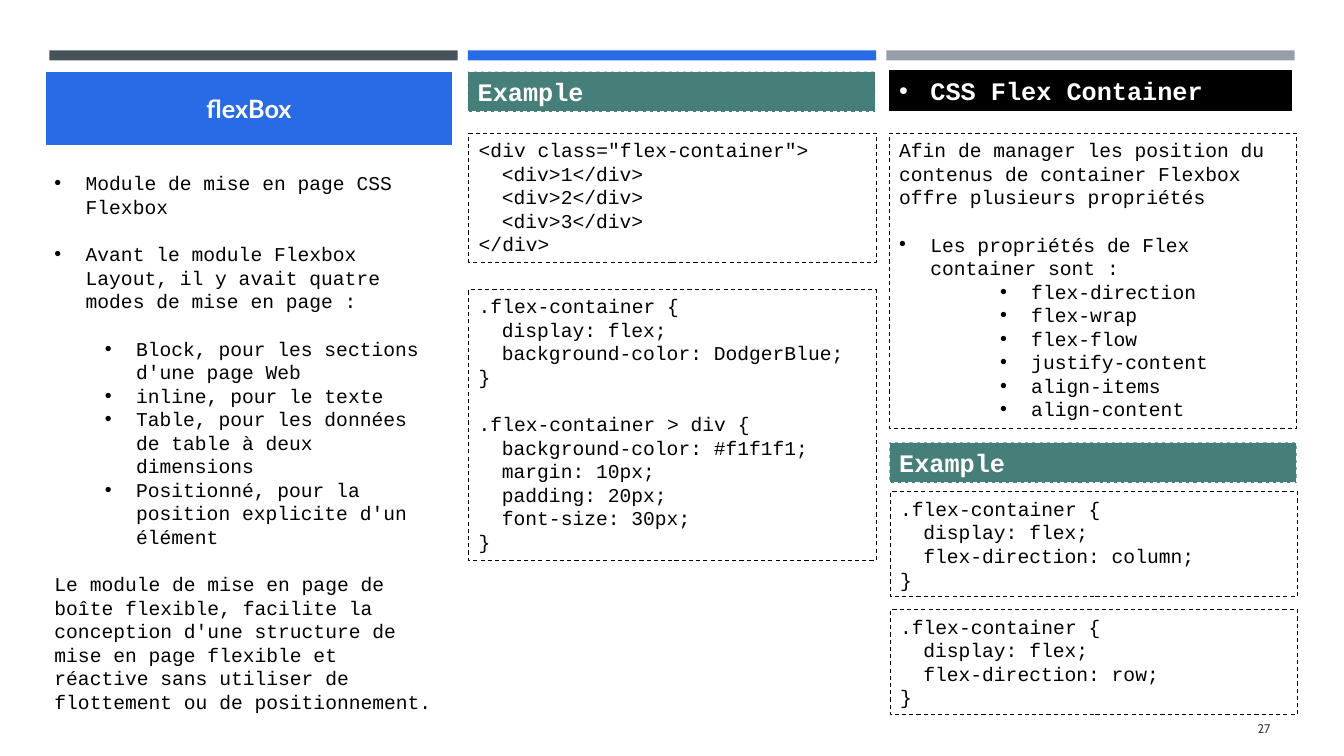
from dataclasses import dataclass

from lxml.etree import SubElement
from pptx import Presentation
from pptx.dml.color import RGBColor
from pptx.enum.dml import MSO_LINE
from pptx.enum.shapes import MSO_SHAPE
from pptx.enum.text import MSO_ANCHOR as Anchor, MSO_AUTO_SIZE as AutoSize, PP_ALIGN as Align
from pptx.oxml.ns import qn
from pptx.util import Inches, Pt

BLACK = RGBColor(0x00, 0x00, 0x00)
WHITE = RGBColor(0xFF, 0xFF, 0xFF)
BLUE = RGBColor(0x29, 0x6A, 0xE7)
TEAL = RGBColor(0x46, 0x7E, 0x7A)
SLATE = RGBColor(0x46, 0x53, 0x59)
SILVER = RGBColor(0x96, 0x9F, 0xA7)
NUMBER_GREY = RGBColor(0x40, 0x40, 0x40)

MONO = "Courier New"
BLANK_LINE = 17  # points
CODE_INDENT = 0.23  # two monospaced characters
HANGING = 0.31

# Three-column grid, in inches
GRID_LEFT, COLUMN_PITCH, COLUMN_WIDTH = 0.49, 4.15, 4.04
BAR_TOP, BAR_HEIGHT = 0.5, 0.1
HEADING_HEIGHT = 0.4


@dataclass
class Line:
    text: str
    indent: float = 0
    bullet: bool = False
    level: int = 0
    gap: float = 0


@dataclass
class Panel:
    column: int
    top: float
    height: float
    lines: list[Line]
    shift: float = 0
    width: float = COLUMN_WIDTH
    fill: RGBColor | None = None
    border: RGBColor = BLACK
    dashed: bool = True


def column_left(column: int, shift: float = 0) -> float:
    return GRID_LEFT + column * COLUMN_PITCH + shift


def bullet(text: str, level: int = 0, gap: float = 0) -> Line:
    return Line(text, HANGING + level * 0.5, True, level, gap)


def rule(selector: str, *declarations: str, gap: float = 0) -> list[Line]:
    """A CSS rule with its declarations indented."""
    body = [Line(item, CODE_INDENT) for item in declarations]
    return [Line(selector + " {", gap=gap), *body, Line("}")]


def heading(column: int, top: float, text: str, shift: float = 0) -> Panel:
    return Panel(column, top, HEADING_HEIGHT, [Line(text)], shift, fill=TEAL, border=WHITE)


def place(shape, left: float, top: float, width: float, height: float) -> None:
    shape.left, shape.top = Inches(left), Inches(top)
    shape.width, shape.height = Inches(width), Inches(height)


def write(shape, lines: list[Line], *, size: float = 14, font: str = MONO,
          color: RGBColor = BLACK, bold: bool = False, align=Align.LEFT,
          anchor=Anchor.TOP) -> None:
    frame = shape.text_frame
    frame.word_wrap = True
    frame.auto_size = AutoSize.NONE
    frame.vertical_anchor = anchor
    for index, line in enumerate(lines):
        paragraph = frame.paragraphs[0] if index == 0 else frame.add_paragraph()
        paragraph.alignment, paragraph.level = align, line.level
        paragraph.line_spacing = 1.0
        paragraph.space_before, paragraph.space_after = Pt(line.gap), Pt(0)
        run = paragraph.add_run()
        run.text = line.text
        run.font.size, run.font.name, run.font.bold = Pt(size), font, bold
        run.font.color.rgb = color
        # Indents and bullets
        properties = paragraph._p.get_or_add_pPr()
        properties.set("marL", str(Inches(line.indent)))
        properties.set("indent", str(Inches(-HANGING if line.bullet else 0)))
        if line.bullet:
            SubElement(properties, qn("a:buFont"), typeface="Arial")
            SubElement(properties, qn("a:buChar"), char="•")
        else:
            SubElement(properties, qn("a:buNone"))


def add_bar(slide, column: int, color: RGBColor) -> None:
    bar = slide.shapes.add_shape(MSO_SHAPE.RECTANGLE, 0, 0, 0, 0)
    place(bar, column_left(column), BAR_TOP, 4.05, BAR_HEIGHT)
    bar.shadow.inherit = False
    bar.fill.solid()
    bar.fill.fore_color.rgb = color
    bar.line.fill.background()


def add_panel(slide, panel: Panel) -> None:
    box = slide.shapes.add_shape(MSO_SHAPE.RECTANGLE, 0, 0, 0, 0)
    place(box, column_left(panel.column, panel.shift), panel.top, panel.width, panel.height)
    box.shadow.inherit = False
    box.line.color.rgb, box.line.width = panel.border, Pt(0.75)
    if panel.dashed:
        box.line.dash_style = MSO_LINE.DASH
    if panel.fill is None:
        box.fill.background()
        write(box, panel.lines)
    else:
        box.fill.solid()
        box.fill.fore_color.rgb = panel.fill
        write(box, panel.lines, size=18, color=WHITE, bold=True)


LAYOUT_MODES = [
    bullet("Module de mise en page CSS Flexbox"),
    bullet("Avant le module Flexbox Layout, il y avait quatre modes de mise en page :",
           gap=BLANK_LINE),
    bullet("Block, pour les sections d'une page Web", 1, BLANK_LINE),
    bullet("inline, pour le texte", 1),
    bullet("Table, pour les données de table à deux dimensions", 1),
    bullet("Positionné, pour la position explicite d'un élément", 1),
    Line("Le module de mise en page de boîte flexible, facilite la conception d'une "
         "structure de mise en page flexible et réactive sans utiliser de flottement "
         "ou de positionnement.", gap=BLANK_LINE),
]
MARKUP = [
    Line('<div class="flex-container">'),
    *[Line(f"<div>{number}</div>", CODE_INDENT) for number in (1, 2, 3)],
    Line("</div>"),
]
STYLES = [
    *rule(".flex-container", "display: flex;", "background-color: DodgerBlue;"),
    *rule(".flex-container > div", "background-color: #f1f1f1;", "margin: 10px;",
          "padding: 20px;", "font-size: 30px;", gap=BLANK_LINE),
]
CONTAINER_PROPERTIES = [
    Line("Afin de manager les position du contenus de container Flexbox offre "
         "plusieurs propriétés"),
    bullet("Les propriétés de Flex container sont :", gap=BLANK_LINE),
    *[bullet(name, 2) for name in ("flex-direction", "flex-wrap", "flex-flow",
                                   "justify-content", "align-items", "align-content")],
]
PANELS = [
    heading(1, 0.71, "Example"),
    Panel(1, 1.32, 1.28, MARKUP, 0.01),
    Panel(1, 2.87, 2.69, STYLES, 0.01),
    Panel(2, 0.7, HEADING_HEIGHT, [bullet("CSS Flex Container")], 0.03, 3.99,
          fill=BLACK, dashed=False),
    Panel(2, 1.32, 2.93, CONTAINER_PROPERTIES, 0.03),
    heading(2, 4.39, "Example", 0.03),
    *[Panel(2, 4.88 + 1.17 * index, 1.04,
            rule(".flex-container", "display: flex;", f"flex-direction: {direction};"), 0.04)
      for index, direction in enumerate(("column", "row"))],
]


def main() -> None:
    deck = Presentation()
    deck.slide_width, deck.slide_height = Inches(13.33), Inches(7.5)
    slide = deck.slides.add_slide(deck.slide_layouts[1])

    # Column bars
    for column, color in enumerate((SLATE, BLUE, SILVER)):
        add_bar(slide, column, color)

    # Title and list in the first column
    title, modes = slide.shapes.title, slide.placeholders[1]
    place(title, column_left(0, -0.05), 0.7, 4.06, 0.75)
    title.fill.solid()
    title.fill.fore_color.rgb = BLUE
    title.line.color.rgb, title.line.width = WHITE, Pt(1.75)
    write(title, [Line("flexBox")], size=18, font="Lato", color=WHITE, bold=True,
          align=Align.CENTER, anchor=Anchor.MIDDLE)
    place(modes, column_left(0, -0.05), 1.65, COLUMN_WIDTH, 5.5)
    write(modes, LAYOUT_MODES)

    # Headings, code and properties in the other columns
    for panel in PANELS:
        add_panel(slide, panel)

    # Slide number
    number = slide.shapes.add_textbox(0, 0, 0, 0)
    place(number, 11.55, 7.03, 1.15, 0.4)
    write(number, [Line("27")], size=9, font="Cabin", color=NUMBER_GREY,
          align=Align.RIGHT, anchor=Anchor.MIDDLE)

    deck.save("out.pptx")


if __name__ == "__main__":
    main()
